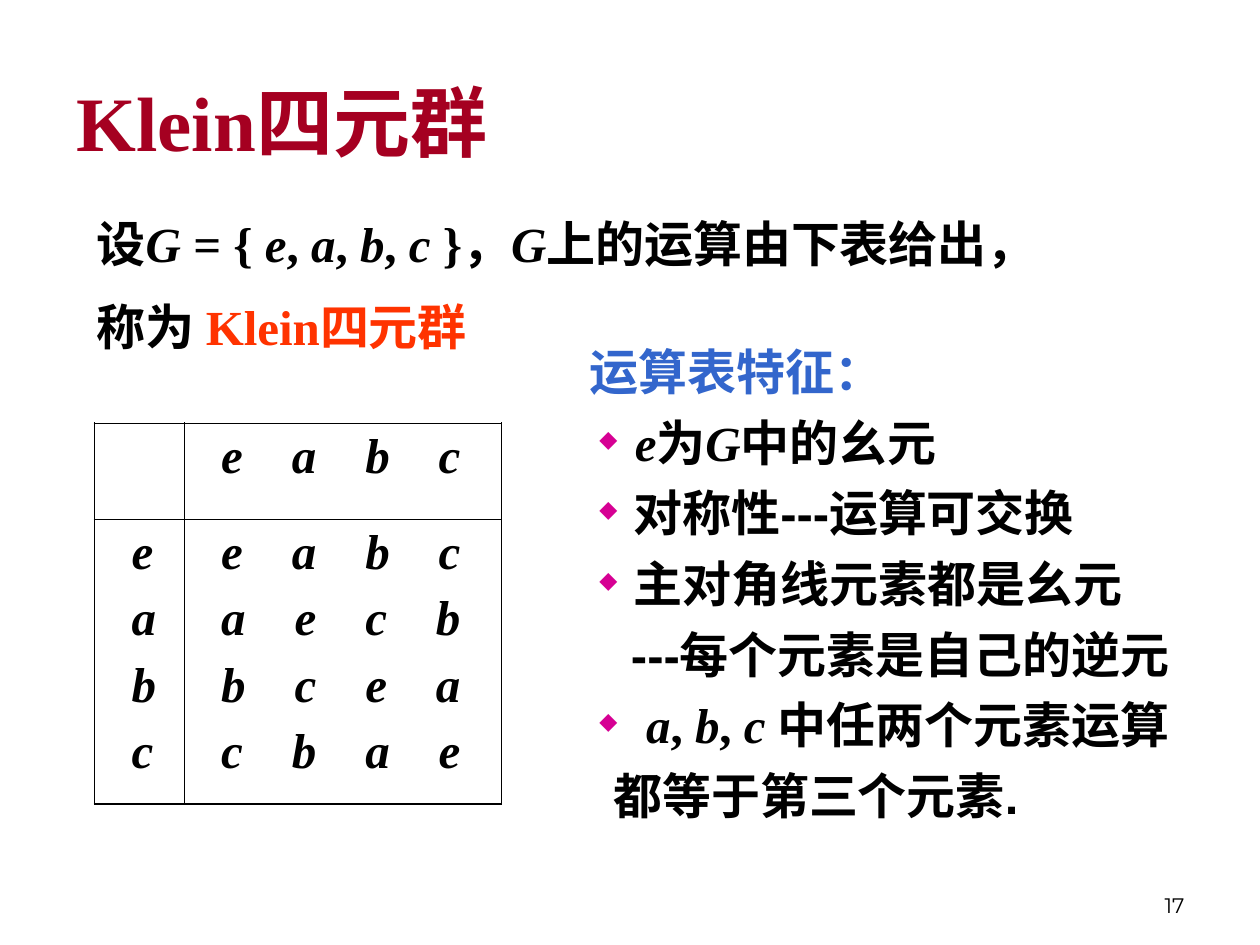
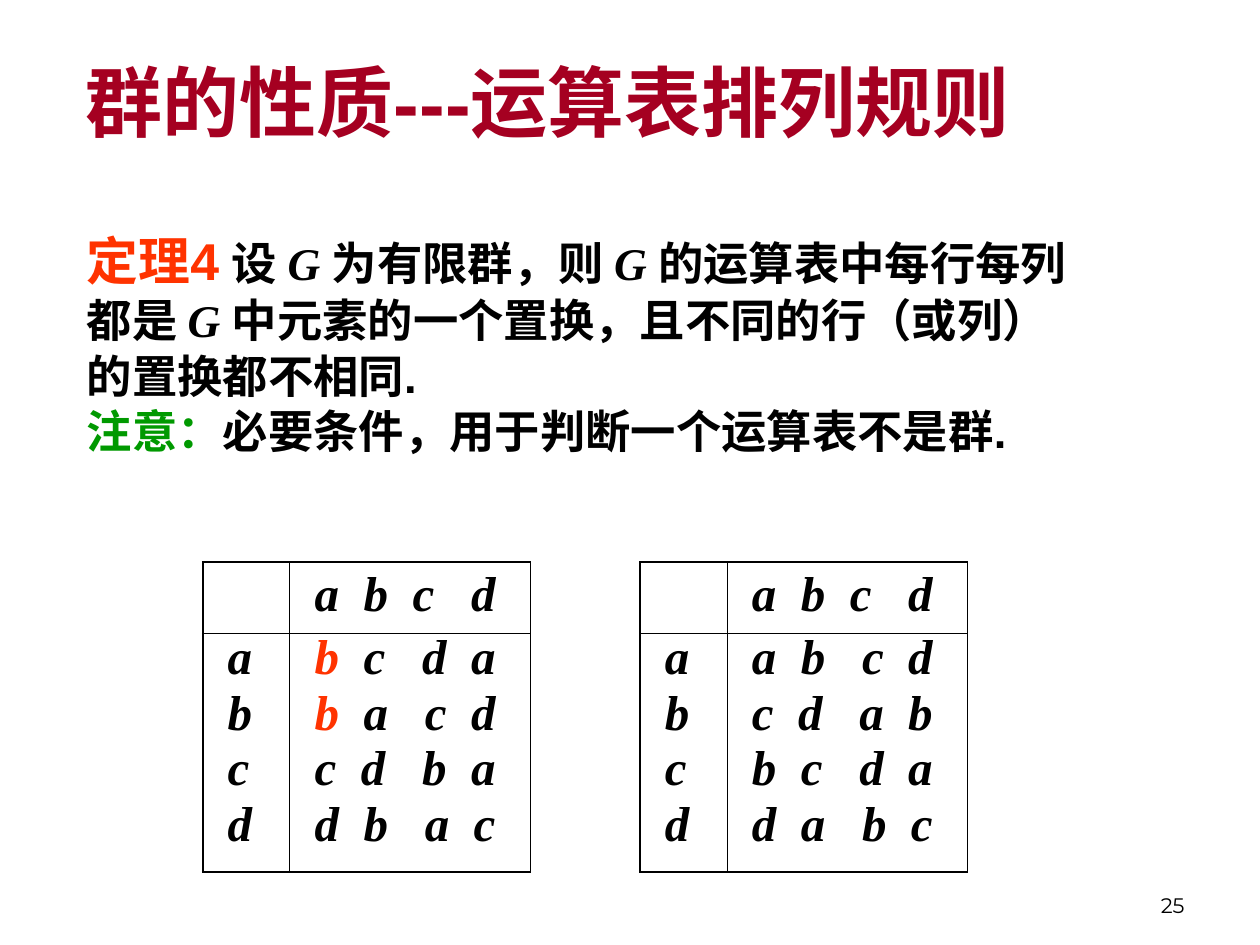
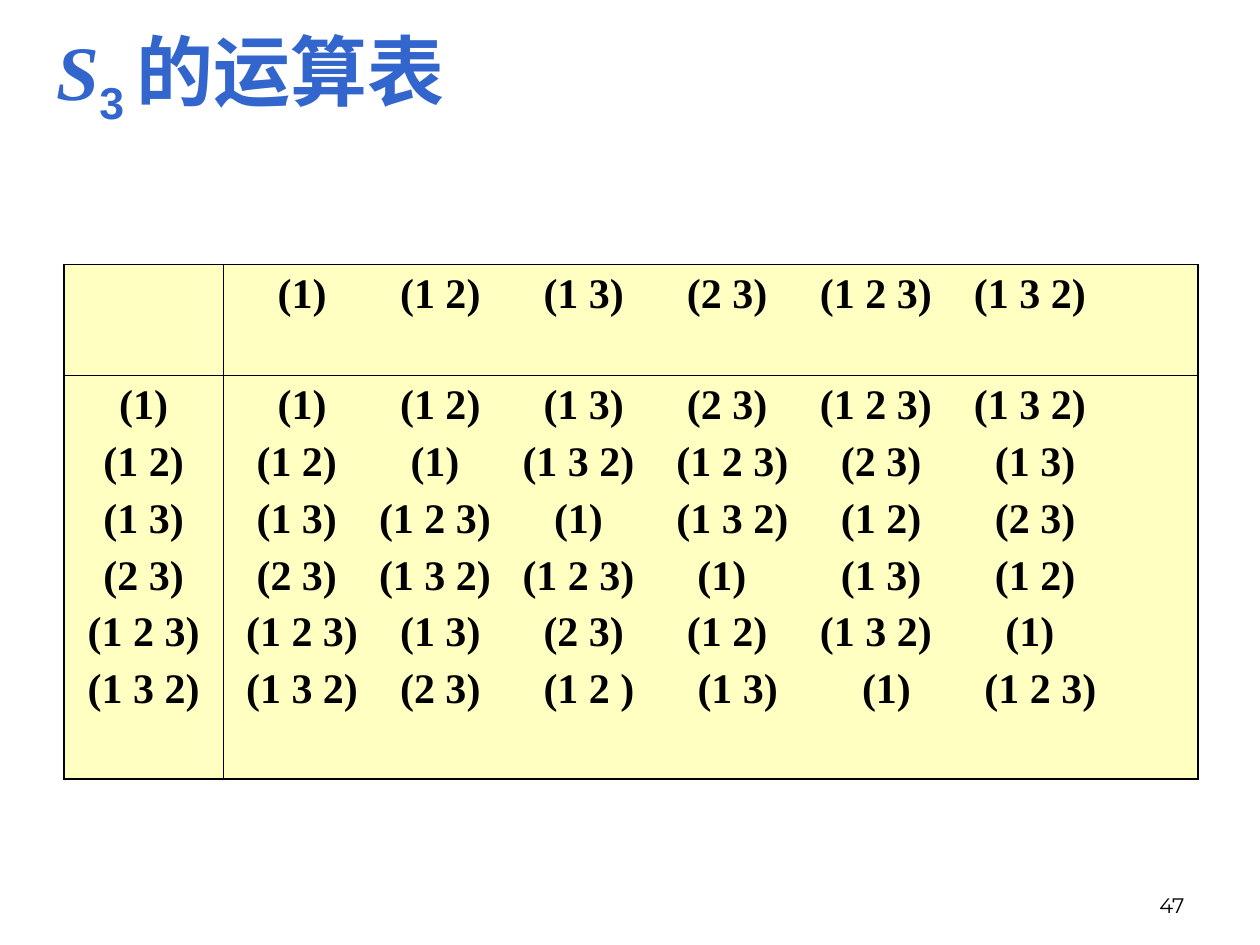
from dataclasses import dataclass
from itertools import chain
from typing import Optional

from lxml.etree import SubElement
from pptx import Presentation
from pptx.dml.color import RGBColor
from pptx.enum.lang import MSO_LANGUAGE_ID
from pptx.enum.text import MSO_ANCHOR, PP_ALIGN
from pptx.oxml.ns import qn
from pptx.util import Inches, Pt


class Theme:
    ink, crimson, blue = "000000", "A50021", "3366CC"
    red, green, pink, cream = "FF3300", "009900", "D60093", "FFFFC1"
    serif, sans, number_face = "Times New Roman", "Arial", "Montserrat"
    title, body, theorem, note, grid, number = 44, 28, 29.6, 25.9, 24, 12
    outer_line, inner_line = 1.08, 0.45
    space_share = 0.25  # width of a serif space as a share of the type size


@dataclass
class Run:
    text: str
    face: str = Theme.sans
    italic: bool = False
    color: str = Theme.ink
    size: Optional[float] = None
    bold: bool = True
    baseline: int = 0
    tracking: float = 0


@dataclass
class Line:
    runs: list
    indent: float = 0
    hanging: float = 0
    bullet: bool = False


def serif(text, **style):
    return Run(text, Theme.serif, **style)


def math(text, **style):
    return Run(text, Theme.serif, True, **style)


# Content: titles
KLEIN_TITLE = [serif("Klein", color=Theme.crimson), Run("四元群", color=Theme.crimson)]
RULE_TITLE = [Run("群的性质---运算表排列规则", color=Theme.crimson)]
S3_TITLE = [math("S", color=Theme.blue),
            Run("3 ", color=Theme.blue, baseline=-25000),
            Run("的运算表", color=Theme.blue)]

# Content: text blocks
KLEIN_DEFINITION = [
    [serif("设"), math("G "), serif("= { "), math("e"), serif(", "), math("a"), serif(", "),
     math("b"), serif(", "), math("c "), serif("}，"), math("G"), serif("上的运算由下表给出，")],
    [serif("称为 "), serif("Klein四元群", color=Theme.red)],
]
KLEIN_FEATURES = [
    Line([Run("运算表特征：", color=Theme.blue)]),
    Line([math("e"), serif("为"), math("G"), serif("中"), Run("的幺元")], 0.36, 0.28, True),
    Line([Run("对称性---运算可交换")], 0.35, 0.27, True),
    Line([Run("主对角线元素都是幺元")], 0.35, 0.27, True),
    Line([Run("---每个元素是自己的逆元")], 0.33),
    Line([math("a"), serif(", "), math("b"), serif(", "), math("c "), Run("中任两个元素运算")],
         0.45, 0.37, True),
    Line([Run("都等于第三个元素.")], 0.19),
]
THEOREM = [
    [Run("定理4", color=Theme.red, size=Theme.theorem), Run(" 设 "), math("G "),
     Run("为有限群，则 "), math("G "), Run("的运算表中每行每列")],
    [Run("都是 "), math("G "), Run("中元素的一个置换，且不同的行（或列）")],
    [Run("的置换都不相同.")],
    [Run("注意：", color=Theme.green), Run("必要条件，用于判断一个运算表不是群.")],
]

# Content: operation tables, each row with its margin and gaps in space widths
KLEIN_GAPS = (2, 4, 4, 4)
KLEIN_HEADER = ("eabc", KLEIN_GAPS)
KLEIN_PRODUCTS = [(row, KLEIN_GAPS) for row in ("eabc", "aecb", "bcea", "cbae")]
LETTER_GAPS = (1, 2, 3, 2)
LETTER_HEADER = ("abcd", (1, 2, 2, 3))
FAULTY_PRODUCTS = [(row, LETTER_GAPS) for row in ("bcda", "bacd", "cdba", "dbac")]
LATIN_PRODUCTS = [(row, LETTER_GAPS) for row in ("abcd", "cdab", "bcda", "dabc")]
S3_HEADER = (["(1)", "(1 2)", "(1 3)", "(2 3)", "(1 2 3)", "(1 3 2)"], (4, 7, 6, 6, 5, 4))
S3_PRODUCTS = [
    S3_HEADER,
    (["(1 2)", "(1)", "(1 3 2)", "(1 2 3)", "(2 3)", "(1 3)"], (2, 7, 6, 4, 5, 7)),
    (["(1 3)", "(1 2 3)", "(1)", "(1 3 2)", "(1 2)", "(2 3)"], (2, 4, 6, 7, 5, 7)),
    (["(2 3)", "(1 3 2)", "(1 2 3)", "(1)", "(1 3)", "(1 2)"], (2, 4, 3, 6, 9, 7)),
    (["(1 2 3)", "(1 3)", "(2 3)", "(1 2)", "(1 3 2)", "(1)"], (1, 4, 6, 6, 5, 7)),
    (["(1 3 2)", "(2 3)", "(1 2 )", "(1 3)", "(1)", "(1 2 3)"], (1, 4, 6, 6, 8, 7)),
]


# Text
def add_run(paragraph, content, size):
    run = paragraph.add_run()
    run.text = content.text
    font = run.font
    font.name, font.size = content.face, Pt(content.size or size)
    font.bold, font.italic = content.bold, content.italic
    font.color.rgb = RGBColor.from_string(content.color)
    font.language_id = MSO_LANGUAGE_ID.SIMPLIFIED_CHINESE
    properties = run._r.get_or_add_rPr()
    if content.baseline:
        properties.set("baseline", str(content.baseline))
    if content.tracking:
        properties.set("spc", str(round(content.tracking * 100)))


def write_lines(frame, lines, size, spacing=None, before=0, alignment=None):
    for index, line in enumerate(lines):
        paragraph = frame.add_paragraph() if index else frame.paragraphs[0]
        paragraph.space_before = Pt(before)
        paragraph.alignment = alignment
        if spacing:
            paragraph.line_spacing = spacing
        properties = paragraph._p.get_or_add_pPr()
        properties.set("marL", str(Inches(line.indent)))
        properties.set("indent", str(-Inches(line.hanging)))
        if line.bullet:
            color = SubElement(properties, qn("a:buClr"))
            SubElement(color, qn("a:srgbClr"), val=Theme.pink)
            SubElement(properties, qn("a:buSzPct"), val="48000")
            SubElement(properties, qn("a:buChar"), char="◆")
        for content in line.runs:
            add_run(paragraph, content, size)


def add_text(slide, box, lines, size, anchor=MSO_ANCHOR.TOP, **layout):
    frame = slide.shapes.add_textbox(*map(Inches, box)).text_frame
    frame.word_wrap = True
    frame.vertical_anchor = anchor
    write_lines(frame, lines, size, **layout)


def add_slide(presentation, number, title, title_box):
    slide = presentation.slides.add_slide(presentation.slide_layouts[6])
    page = Run(str(number), Theme.number_face, bold=False)
    add_text(slide, (7.17, 6.83, 2.33, 0.5), [Line([page])], Theme.number,
             MSO_ANCHOR.BOTTOM, alignment=PP_ALIGN.RIGHT)
    add_text(slide, title_box, [Line(title)], Theme.title, MSO_ANCHOR.MIDDLE)
    return slide


def hanging_lines(lines):
    return [Line(runs, 0.38, 0.38) for runs in lines]


# Operation tables
def set_borders(cell, row, column):
    outer = {"L": column == 0, "R": column == 1, "T": row == 0, "B": row == 1}
    properties = cell._tc.get_or_add_tcPr()
    for position, (side, is_outer) in enumerate(outer.items()):
        width = Theme.outer_line if is_outer else Theme.inner_line
        line = properties.makeelement(qn(f"a:ln{side}"), {"w": str(Pt(width))})
        fill = SubElement(line, qn("a:solidFill"))
        SubElement(fill, qn("a:srgbClr"), val=Theme.ink)
        properties.insert(position, line)


def spaced_line(elements, gaps, size, italic, marked=()):
    """Join the elements with single spaces, each widened to its gap."""
    space = size * Theme.space_share
    margin, *between = gaps
    words = [Run(element, Theme.serif, italic, Theme.red if column in marked else Theme.ink)
             for column, element in enumerate(elements)]
    spaces = [Run(" ", Theme.serif, italic, tracking=(gap - 1) * space) for gap in between]
    pairs = zip(words[1:], spaces)
    runs = words[:1] + list(chain.from_iterable((gap, word) for word, gap in pairs))
    return Line(runs, margin * space / 72)


def add_operation_table(slide, corner, widths, heights, header, products, head_margin=0,
                        head_alignment=None, size=Theme.body, before=7, spacing=None,
                        italic=True, fill=None, marked=None):
    box = (*corner, sum(widths), sum(heights))
    table = slide.shapes.add_table(2, 2, *map(Inches, box)).table
    table.first_row = table.horz_banding = False
    for index in range(2):
        table.columns[index].width = Inches(widths[index])
        table.rows[index].height = Inches(heights[index])
        for column in range(2):
            cell = table.cell(index, column)
            if fill:
                cell.fill.solid()
                cell.fill.fore_color.rgb = RGBColor.from_string(fill)
            else:
                cell.fill.background()
            set_borders(cell, index, column)

    top = [spaced_line(*header, size, italic)]
    heads = [spaced_line([element], [head_margin], size, italic) for element in header[0]]
    body = [spaced_line(*row, size, italic, (marked or {}).get(index, ()))
            for index, row in enumerate(products)]
    for row, column, lines, line_spacing, alignment in (
            (0, 1, top, None, None),
            (1, 0, heads, spacing, head_alignment),
            (1, 1, body, spacing, None)):
        write_lines(table.cell(row, column).text_frame, lines, size, line_spacing, before,
                    alignment)


def main():
    presentation = Presentation()
    presentation.slide_width, presentation.slide_height = Inches(10), Inches(7.5)

    # Klein four-group
    slide = add_slide(presentation, 17, KLEIN_TITLE, (0.51, 0.21, 9, 1.5))
    add_text(slide, (0.67, 1.55, 8.58, 1.34), hanging_lines(KLEIN_DEFINITION), Theme.body,
             spacing=1.2, before=7)
    add_operation_table(slide, (0.75, 3.36), (0.71, 2.52), (0.76, 2.26), KLEIN_HEADER,
                        KLEIN_PRODUCTS, head_margin=2)
    add_text(slide, (4.58, 2.57, 5.04, 4.42), KLEIN_FEATURES, Theme.body, spacing=1.2)

    # Arrangement rule, with two tables side by side
    slide = add_slide(presentation, 25, RULE_TITLE, (0.58, 0.05, 9, 1.5))
    add_text(slide, (0.59, 1.86, 8.9, 2.28), hanging_lines(THEOREM), Theme.note,
             spacing=0.8, before=7)
    for left, products, marked in ((1.61, FAULTY_PRODUCTS, {0: [0], 1: [0]}),
                                   (5.08, LATIN_PRODUCTS, None)):
        add_operation_table(slide, (left, 4.46), (0.69, 1.91), (0.57, 1.89), LETTER_HEADER,
                            products, head_margin=1, spacing=0.8, marked=marked)

    # Operation table of S3
    slide = add_slide(presentation, 47, S3_TITLE, (0.35, 0, 8.75, 1.2))
    add_operation_table(slide, (0.51, 2.1), (1.26, 7.74), (0.88, 3.2), S3_HEADER,
                        S3_PRODUCTS, head_alignment=PP_ALIGN.CENTER, size=Theme.grid,
                        before=6, italic=False, fill=Theme.cream)

    presentation.save("out.pptx")


if __name__ == "__main__":
    main()
